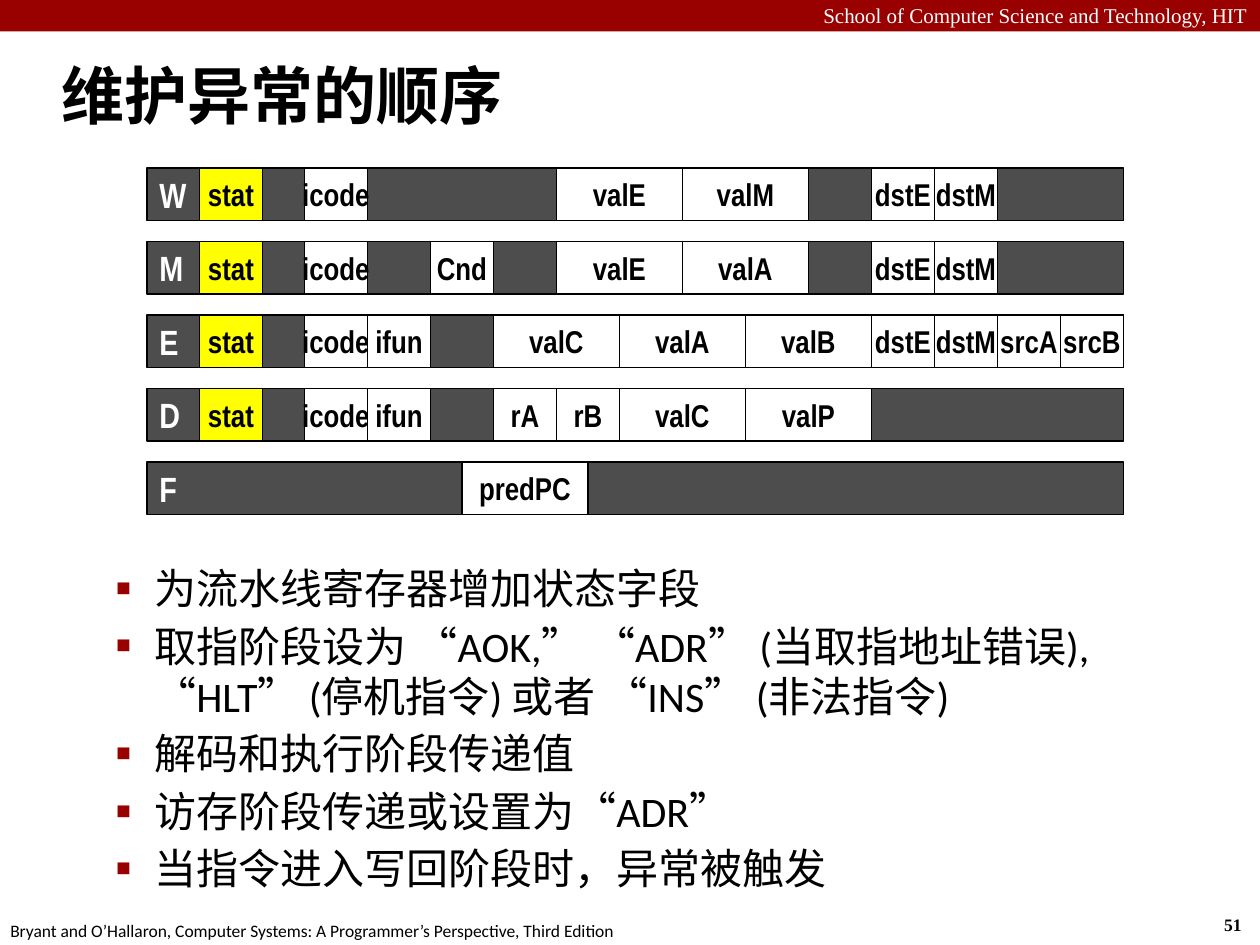
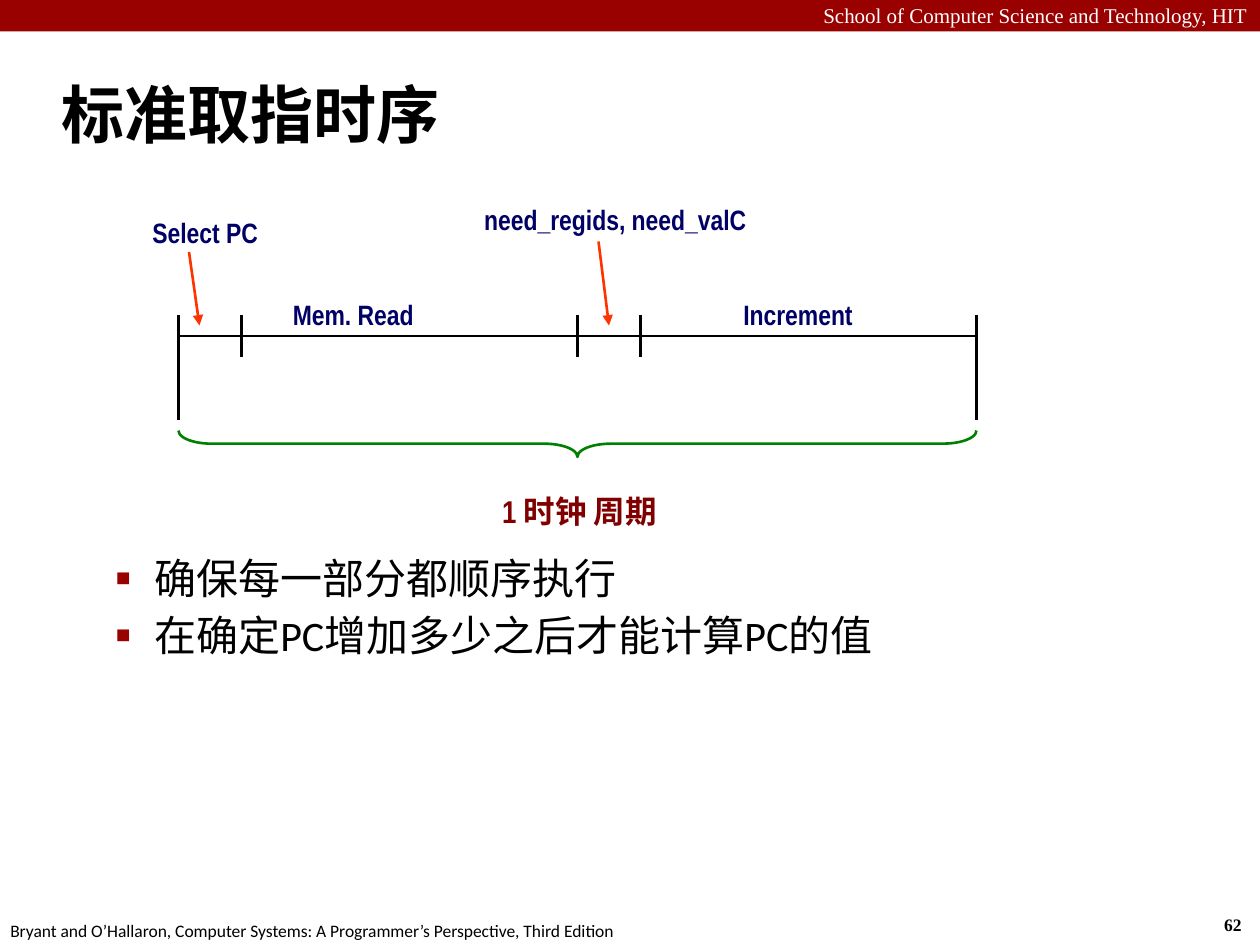
from dataclasses import dataclass
from typing import NamedTuple

from lxml import etree
from pptx import Presentation
from pptx.dml.color import RGBColor
from pptx.enum.shapes import MSO_CONNECTOR, MSO_SHAPE
from pptx.enum.text import MSO_ANCHOR, PP_ALIGN
from pptx.oxml.ns import qn
from pptx.util import Inches, Pt

RECTANGLE, LEFT_BRACE = MSO_SHAPE.RECTANGLE, MSO_SHAPE.LEFT_BRACE
STRAIGHT = MSO_CONNECTOR.STRAIGHT
TOP, MIDDLE = MSO_ANCHOR.TOP, MSO_ANCHOR.MIDDLE
LEFT, CENTER, RIGHT = PP_ALIGN.LEFT, PP_ALIGN.CENTER, PP_ALIGN.RIGHT

# The page is a grid of 120 columns by 90 rows, twelve cells to the inch.
COLUMNS, ROWS = 120, 90
CELL = Inches(1) // 12


@dataclass(frozen=True)
class Style:
    size: float
    font: str
    color: str
    bold: bool = False


@dataclass(frozen=True)
class Theme:
    band: str = "990000"
    black: str = "000000"
    white: str = "FFFFFF"
    bar: str = "4D4D4D"
    status: str = "FFFF00"
    arrow: str = "FF3300"
    brace: str = "008000"
    thin: float = 0.75
    thick: float = 1.5
    school: Style = Style(12, "Times New Roman", "FFFFFF")
    number: Style = Style(10, "Times New Roman", "000000", True)
    source: Style = Style(10, "Calibri", "000000")
    title: Style = Style(36, "Calibri", "000000", True)
    body: Style = Style(24, "Calibri", "000000")
    register: Style = Style(20, "Arial Narrow", "FFFFFF", True)
    field: Style = Style(18, "Arial Narrow", "000000", True)
    step: Style = Style(16, "Arial Narrow", "000066", True)
    cycle: Style = Style(18, "Arial Narrow", "800000", True)


THEME = Theme()


class Box(NamedTuple):
    """A rectangle in grid cells."""
    left: float
    top: float
    width: float
    height: float

    def inner(self, left, top, width, height):
        return Box(self.left + left, self.top + top, width, height)

    def lengths(self):
        return [round(cells * CELL) for cells in self]


PAGE = Box(0, 0, COLUMNS, ROWS)

# Fields of each pipeline register: name, first column, width.
STAT, ICODE, IFUN = ("stat", 5, 6), ("icode", 15, 6), ("ifun", 21, 6)
DST = [("dstE", 69, 6), ("dstM", 75, 6)]
REGISTERS = {
    "W": [STAT, ICODE, ("valE", 39, 12), ("valM", 51, 12), *DST],
    "M": [STAT, ICODE, ("Cnd", 27, 6), ("valE", 39, 12), ("valA", 51, 12), *DST],
    "E": [STAT, ICODE, IFUN, ("valC", 33, 12), ("valA", 45, 12),
          ("valB", 57, 12), *DST, ("srcA", 81, 6), ("srcB", 87, 6)],
    "D": [STAT, ICODE, IFUN, ("rA", 33, 6), ("rB", 39, 6),
          ("valC", 45, 12), ("valP", 57, 12)],
    "F": [("predPC", 30, 12)],
}
REGISTER_HEIGHT, REGISTER_PITCH = 5, 7

# Fetch timing, relative to the timeline box.
AXIS_ROW, TICK_ROWS, END_ROWS = 2, 4, 10
TICKS = [0, 6, 38, 44, 76]
STEP_LABELS = [
    ("Select PC", -4.3, -9.7, 13.7),
    ("Mem. Read", 8.9, -1.9, 15.5),
    ("Increment", 52, -1.9, 14),
    ("need_regids, need_valC", 25.6, -10.9, 32),
]
STEP_ARROWS = [((1, -6), (2, 1)), ((40, -7), (41, 1))]


def color(value):
    return RGBColor.from_string(value)


def write(shape, lines, style, align=LEFT, anchor=TOP, wrap=False, inset=None):
    """Fill the shape with one paragraph a line and return the paragraphs."""
    frame = shape.text_frame
    frame.word_wrap = wrap
    frame.vertical_anchor = anchor
    if inset is not None:
        frame.margin_left = frame.margin_right = Inches(inset)
        frame.margin_top = frame.margin_bottom = Inches(inset)
    frame.text = "\n".join(lines)
    for para in frame.paragraphs:
        para.alignment = align
        para.font.size = Pt(style.size)
        para.font.name = style.font
        para.font.bold = style.bold
        para.font.color.rgb = color(style.color)
    return frame.paragraphs


def add_text(page, box, lines, style, **options):
    return write(page.shapes.add_textbox(*box.lengths()), lines, style, **options)


def add_rectangle(page, box, fill, outlined=True):
    shape = page.shapes.add_shape(RECTANGLE, *box.lengths())
    shape.shadow.inherit = False
    shape.fill.solid()
    shape.fill.fore_color.rgb = color(fill)
    if outlined:
        shape.line.color.rgb = color(THEME.black)
        shape.line.width = Pt(THEME.thin)
    else:
        shape.line.fill.background()
    return shape


def add_line(page, box, start, end, stroke=THEME.black, arrow=False):
    """Draw a line between two (column, row) points of the box."""
    ends = [round(cells * CELL) for column, row in (start, end)
            for cells in (box.left + column, box.top + row)]
    line = page.shapes.add_connector(STRAIGHT, *ends)
    line.line.color.rgb = color(stroke)
    line.line.width = Pt(THEME.thick)
    if arrow:
        etree.SubElement(line.line._get_or_add_ln(), qn("a:tailEnd"), type="triangle")
    etree.SubElement(line._element.spPr, qn("a:effectLst"))


def set_indent(para, margin, hanging):
    properties = para._p.get_or_add_pPr()
    properties.set("marL", str(Inches(margin)))
    properties.set("indent", str(-Inches(hanging)))
    return properties


def add_bullet(para):
    para.space_before = Pt(4)
    properties = set_indent(para, 0.81, 0.31)
    marks = [etree.Element(qn("a:buClr")),
             etree.Element(qn("a:buSzPct"), val="110000"),
             etree.Element(qn("a:buFont"), typeface="Wingdings 2"),
             etree.Element(qn("a:buChar"), char="▪")]
    marks[2].set("typeface", "Calibri")
    etree.SubElement(marks[0], qn("a:srgbClr"), val=THEME.band)
    defaults = properties.find(qn("a:defRPr"))
    for mark in marks:
        defaults.addprevious(mark)


def add_frame(page, box, number):
    """Place the band, school name, page number and source line."""
    add_rectangle(page, box.inner(0, 0, box.width, 3), THEME.band, outlined=False)
    add_text(page, box.inner(0, -0.36, box.width, 3.6),
             ["School of Computer Science and Technology, HIT"],
             THEME.school, align=RIGHT, wrap=True)
    add_text(page, box.inner(115.4, 86.5, 4.4, 3.2), [str(number)], THEME.number)
    add_text(page, box.inner(-0.2, 87, 61, 3.2),
             ["Bryant and O’Hallaron, Computer Systems: "
              "A Programmer’s Perspective, Third Edition"], THEME.source)


def add_title(page, box, text):
    for para in add_text(page, box, [text], THEME.title, anchor=MIDDLE, wrap=True):
        set_indent(para, 0.13, 0.13)


def add_body(page, box, lines):
    for para in add_text(page, box, lines, THEME.body, wrap=True):
        add_bullet(para)


def add_register(page, box, name, fields):
    write(add_rectangle(page, box, THEME.bar), [name], THEME.register, anchor=MIDDLE)
    for field, column, width in fields:
        fill = THEME.status if field == "stat" else THEME.white
        cell = add_rectangle(page, box.inner(column, 0, width, box.height), fill)
        write(cell, [field], THEME.field, align=CENTER, anchor=MIDDLE)


def add_registers(page, box):
    for row, (name, fields) in enumerate(REGISTERS.items()):
        bar = box.inner(0, row * REGISTER_PITCH, box.width, REGISTER_HEIGHT)
        add_register(page, bar, name, fields)


def add_brace(page, box):
    """Draw a downward brace that fills the box once it is turned."""
    shift = (box.width - box.height) / 2
    upright = box.inner(shift, -shift, box.height, box.width)
    brace = page.shapes.add_shape(LEFT_BRACE, *upright.lengths())
    brace.rotation = 270
    brace.adjustments[0] = 1.27
    brace.shadow.inherit = False
    brace.fill.background()
    brace.line.color.rgb = color(THEME.brace)
    brace.line.width = Pt(THEME.thick)


def add_label(page, box, text, style):
    for para in add_text(page, box, [text], style, align=CENTER, inset=0.05):
        para.line_spacing = 0.9


def add_timeline(page, box):
    for tick in TICKS:
        rows = END_ROWS if tick in (TICKS[0], TICKS[-1]) else TICK_ROWS
        add_line(page, box, (tick, 0), (tick, rows))
    for start, end in zip(TICKS, TICKS[1:]):
        add_line(page, box, (start, AXIS_ROW), (end, AXIS_ROW))
    for start, end in STEP_ARROWS:
        add_line(page, box, start, end, THEME.arrow, arrow=True)
    for text, column, row, width in STEP_LABELS:
        add_label(page, box.inner(column, row, width, 4.1), text, THEME.step)
    add_brace(page, box.inner(0, 11, box.width, 2.5))
    add_label(page, box.inner(29.8, 16.7, 16.8, 4.4), "1 时钟 周期", THEME.cycle)


def add_page(deck, number):
    page = deck.slides.add_slide(deck.slide_layouts[6])
    add_frame(page, PAGE, number)
    return page


def build_exception_page(deck):
    page = add_page(deck, 51)
    add_title(page, PAGE.inner(4.7, 6, 115.3, 6), "维护异常的顺序")
    add_body(page, PAGE.inner(3.8, 53, 110.3, 29), [
        "为流水线寄存器增加状态字段",
        "取指阶段设为 “AOK,” “ADR” (当取指地址错误), “HLT” (停机指令) 或者 “INS” (非法指令)",
        "解码和执行阶段传递值",
        "访存阶段传递或设置为“ADR”",
        "当指令进入写回阶段时，异常被触发",
    ])
    add_registers(page, PAGE.inner(14, 16, 93, 33))


def build_timing_page(deck):
    page = add_page(deck, 62)
    add_title(page, PAGE.inner(4.7, 5.8, 115.3, 10), "标准取指时序")
    add_body(page, PAGE.inner(3.8, 52, 109, 32.5), [
        "确保每一部分都顺序执行",
        "在确定PC增加多少之后才能计算PC的值",
    ])
    add_timeline(page, PAGE.inner(17, 30, TICKS[-1], END_ROWS))


def main():
    deck = Presentation()
    deck.slide_width, deck.slide_height = COLUMNS * CELL, ROWS * CELL
    build_exception_page(deck)
    build_timing_page(deck)
    deck.save("out.pptx")


if __name__ == "__main__":
    main()
